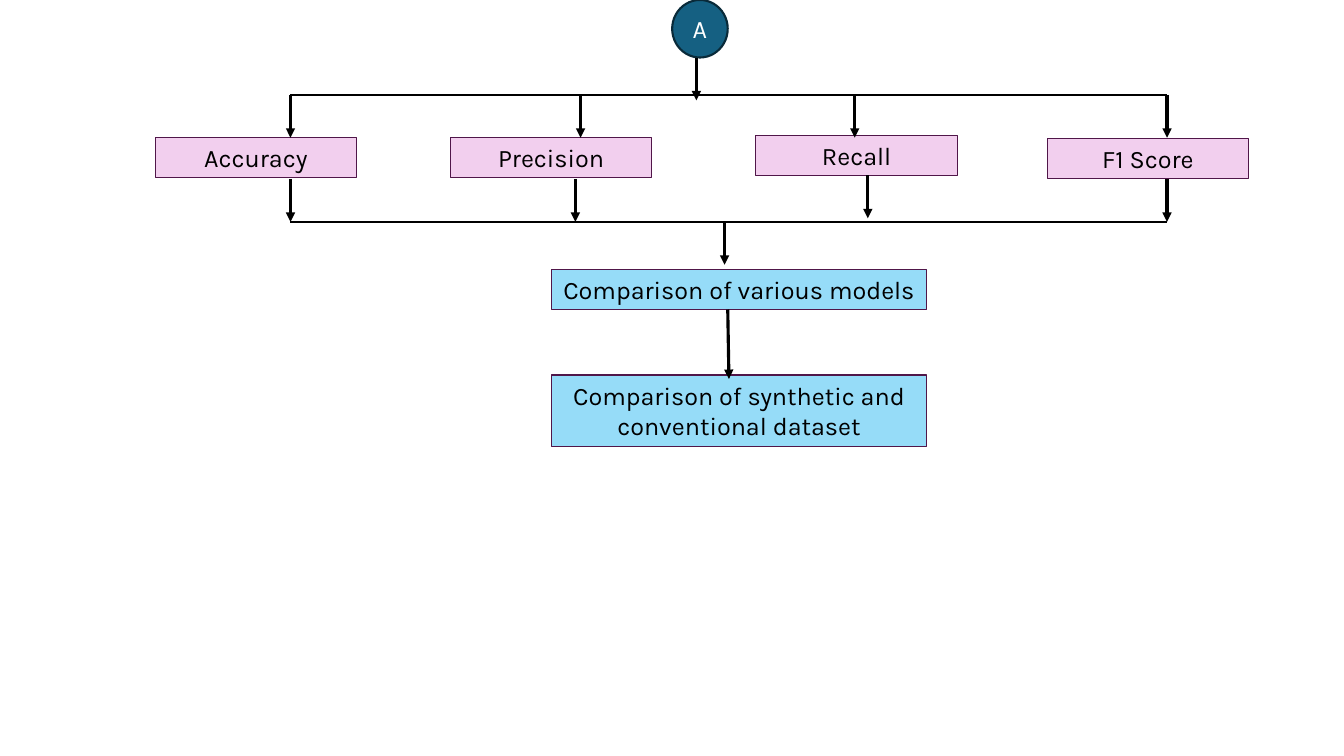
import dataclasses

import pptx
import pptx.dml.color
import pptx.enum.shapes
import pptx.enum.text
import pptx.oxml
import pptx.oxml.ns
import pptx.util
from pptx.util import Cm

SHAPES = pptx.enum.shapes.MSO_SHAPE
ANCHORS = pptx.enum.text.MSO_ANCHOR


@dataclasses.dataclass(frozen=True)
class Theme:
    font: str = "Karla"
    text_size: int = 18
    ink: str = "000000"
    light: str = "FFFFFF"
    metric_fill: str = "F2CFEE"
    result_fill: str = "96DCF8"
    box_line: str = "501649"
    start_fill: str = "156082"
    start_line: str = "092A39"
    thin: float = 0.75
    medium: float = 1.5
    thick: float = 2.25


@dataclasses.dataclass(frozen=True)
class Box:
    left: float
    top: float
    width: float
    height: float


THEME = Theme()
METRIC_WIDTH, METRIC_HEIGHT = 5.08, 1.02
ARROW_LENGTH = 1.08


def rgb(value):
    return pptx.dml.color.RGBColor.from_string(value)


def write_text(frame, text, color=THEME.ink, anchor=ANCHORS.TOP):
    frame.word_wrap = True
    frame.vertical_anchor = anchor
    para = frame.paragraphs[0]
    para.alignment = pptx.enum.text.PP_ALIGN.CENTER
    span = para.add_run()
    span.text = text
    span.font.name = THEME.font
    span.font.size = pptx.util.Pt(THEME.text_size)
    span.font.color.rgb = rgb(color)


def add_node(page, box, text, fill, kind=SHAPES.RECTANGLE, line=THEME.box_line,
             weight=THEME.thin, **text_format):
    node = page.shapes.add_shape(
        kind, Cm(box.left), Cm(box.top), Cm(box.width), Cm(box.height))
    node.shadow.inherit = False
    node.fill.solid()
    node.fill.fore_color.rgb = rgb(fill)
    node.line.color.rgb = rgb(line)
    node.line.width = pptx.util.Pt(weight)
    write_text(node.text_frame, text, **text_format)


def add_line(page, start, end, weight=THEME.medium, arrow=False):
    line = page.shapes.add_connector(
        pptx.enum.shapes.MSO_CONNECTOR.STRAIGHT,
        Cm(start[0]), Cm(start[1]), Cm(end[0]), Cm(end[1]))
    line.line.color.rgb = rgb(THEME.ink)
    line.line.width = pptx.util.Pt(weight)
    if arrow:
        head = pptx.oxml.parse_xml(
            f'<a:tailEnd {pptx.oxml.ns.nsdecls("a")} type="triangle"/>')
        line.line._get_or_add_ln().append(head)
    line._element.spPr.append(
        pptx.oxml.parse_xml(f'<a:effectLst {pptx.oxml.ns.nsdecls("a")}/>'))


def add_arrow(page, start, end):
    add_line(page, start, end, weight=THEME.thick, arrow=True)


def draw_start(page, box):
    """Round connector that leads into the metrics."""
    add_node(page, box, "A", THEME.start_fill, kind=SHAPES.OVAL,
             line=THEME.start_line, weight=THEME.medium,
             color=THEME.light, anchor=ANCHORS.MIDDLE)
    x, y = box.left + 0.61, box.top + box.height
    add_arrow(page, (x, y), (x, y + ARROW_LENGTH))


def draw_metrics(page, box):
    """Four metrics between a splitting and a joining bar."""
    bottom = box.top + box.height
    # Name, box offset, arrow-in offset, arrow-out offset, box drop, lift of arrow out
    metrics = [
        ("Accuracy", 0, 3.41, 3.41, 1.07, 0),
        ("Precision", 7.44, 10.72, 10.59, 1.07, 0),
        ("Recall", 15.14, 17.63, 17.96, 1.02, 0.09),
        ("F1 Score", 22.48, 25.5, 25.5, 1.1, 0),
    ]
    first, last = box.left + metrics[0][2], box.left + metrics[-1][2]
    for y in (box.top, bottom):
        add_line(page, (first, y), (last, y))
    for name, offset, arrow_in, arrow_out, drop, lift in metrics:
        add_node(page, Box(box.left + offset, box.top + drop,
                           METRIC_WIDTH, METRIC_HEIGHT), name, THEME.metric_fill)
        x = box.left + arrow_in
        add_arrow(page, (x, box.top), (x, box.top + ARROW_LENGTH))
        x, y = box.left + arrow_out, bottom - lift
        add_arrow(page, (x, y - ARROW_LENGTH), (x, y))


def draw_comparisons(page, box):
    """Two comparison steps, one below the other."""
    model_top, model_height, data_height = box.top + 1.19, 1.02, 1.8
    data_top = box.top + box.height - data_height
    add_node(page, Box(box.left, model_top, box.width, model_height),
             "Comparison of various models", THEME.result_fill)
    add_node(page, Box(box.left, data_top, box.width, data_height),
             "Comparison of synthetic and conventional dataset", THEME.result_fill)
    x = box.left + 4.37
    add_arrow(page, (x, box.top), (x, box.top + ARROW_LENGTH))
    add_arrow(page, (x + 0.08, model_top + model_height), (x + 0.11, data_top + 0.1))


def main():
    deck = pptx.Presentation()
    deck.slide_width, deck.slide_height = Cm(33.87), Cm(19.05)
    page = deck.slides.add_slide(deck.slide_layouts.get_by_name("Blank"))
    draw_start(page, Box(16.94, 0, 1.4, 1.45))
    draw_metrics(page, Box(3.91, 2.39, 27.56, 3.2))
    draw_comparisons(page, Box(13.89, 5.59, 9.47, 5.66))
    deck.save("out.pptx")


if __name__ == "__main__":
    main()
